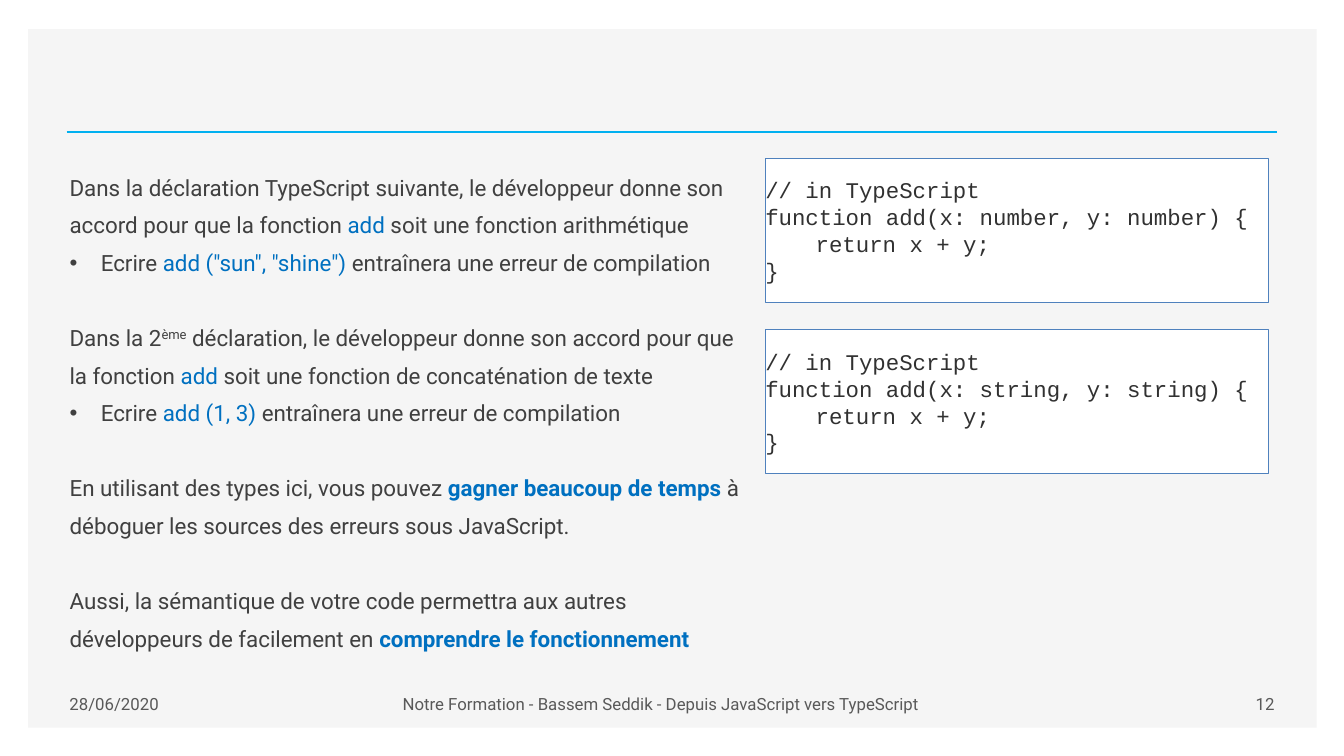
import pptx
import pptx.util
import pptx.dml.color
import pptx.enum.shapes
import pptx.enum.text
import pptx.oxml
import pptx.oxml.ns
import lxml.etree

Inches = pptx.util.Inches
RGBColor = pptx.dml.color.RGBColor
Align = pptx.enum.text.PP_ALIGN
Anchor = pptx.enum.text.MSO_ANCHOR
RECT = pptx.enum.shapes.MSO_SHAPE.RECTANGLE

WHITE = RGBColor(0xFF, 0xFF, 0xFF)
PANEL = RGBColor(0xF5, 0xF5, 0xF5)
CYAN = RGBColor(0x00, 0xB0, 0xF0)
BLUE = RGBColor(0x00, 0x70, 0xC0)
EDGE = RGBColor(0x4F, 0x81, 0xBD)
DARK = RGBColor(0x40, 0x40, 0x40)
GREY = RGBColor(0x59, 0x59, 0x59)
INK = RGBColor(0x31, 0x31, 0x31)


def add_run(para, text, color, **form):
    run = para.add_run()
    run.text = text
    run.font.color.rgb = color
    for key, value in form.items():
        setattr(run.font, key, value)
    return run


def add_box(place, fill):
    box = slide.shapes.add_shape(RECT, *map(Inches, place))
    box.shadow.inherit = False
    box.fill.solid()
    box.fill.fore_color.rgb = fill
    box.line.fill.background()
    return box


deck = pptx.Presentation()
deck.slide_width = Inches(13.33)
deck.slide_height = Inches(7.5)
slide = deck.slides.add_slide(deck.slide_layouts[1])
title, body = slide.placeholders
slide.shapes.element.remove(title.element)

# Panel and rule
add_box((0.28, 0.29, 12.78, 6.93), PANEL)
rule = slide.shapes.add_connector(
    pptx.enum.shapes.MSO_CONNECTOR.STRAIGHT,
    Inches(0.66), Inches(1.31), Inches(12.67), Inches(1.31))
rule.line.color.rgb = CYAN
rule.line.width = pptx.util.Pt(2)
lxml.etree.SubElement(rule.element.spPr, pptx.oxml.ns.qn("a:effectLst"))

# Body: each paragraph has a kind and its runs of (text, style)
styles = {
    "plain": {"color": DARK},
    "code": {"color": BLUE},
    "strong": {"color": BLUE, "bold": True},
    "super": {"color": DARK},
}
content = [
    ("first", [("Dans la déclaration TypeScript suivante, le développeur donne "
                "son accord pour que la fonction ", "plain"),
               ("add", "code"),
               (" soit une fonction arithmétique", "plain")]),
    ("bullet", [("Ecrire ", "plain"),
                ('add ("sun", "shine") ', "code"),
                ("entraînera une erreur de compilation", "plain")]),
    ("block", [("Dans la 2", "plain"),
               ("ème", "super"),
               (" déclaration, le développeur donne son accord pour que "
                "la fonction ", "plain"),
               ("add ", "code"),
               ("soit une fonction de concaténation de texte", "plain")]),
    ("bullet", [("Ecrire ", "plain"),
                ("add (1, 3) ", "code"),
                ("entraînera une erreur de compilation", "plain")]),
    ("block", [("En utilisant des types ici, vous pouvez ", "plain"),
               ("gagner beaucoup de temps ", "strong"),
               ("à déboguer les sources des erreurs sous JavaScript.", "plain")]),
    ("block", [("Aussi, la sémantique de votre code permettra aux autres "
                "développeurs de facilement en ", "plain"),
               ("comprendre le fonctionnement", "strong")]),
]
slide.shapes.element.append(body.element)  # bring the text above the panel
body.left, body.top, body.width, body.height = map(Inches, (0.59, 1.57, 7, 4.95))
frame = body.text_frame
frame.auto_size = pptx.enum.text.MSO_AUTO_SIZE.NONE
for i, (kind, runs) in enumerate(content):
    para = frame.add_paragraph() if i else frame.paragraphs[0]
    para.line_spacing = 1.4
    para.space_before = pptx.util.Pt(26.8 if kind == "block" else 0)
    para.space_after = pptx.util.Pt(0)
    props = para._p.get_or_add_pPr()
    indent = Inches(0.31) if kind == "bullet" else 0
    props.set("marL", str(indent))
    props.set("indent", str(-indent))
    mark = 'buChar char="•"' if kind == "bullet" else "buNone"
    props.append(pptx.oxml.parse_xml(
        f"<a:{mark} {pptx.oxml.ns.nsdecls('a')}/>"))
    for text, style in runs:
        run = add_run(para, text, name="Roboto", size=pptx.util.Pt(16),
                      **styles[style])
        if style == "super":
            run._r.get_or_add_rPr().set("baseline", "30000")

# Footer
footer = [
    (0.59, 1.68, "28/06/2020", Align.LEFT),
    (2.27, 8.57, "Notre Formation - Bassem Seddik - Depuis JavaScript vers TypeScript",
     Align.CENTER),
    (10.84, 1.9, "12", Align.RIGHT),
]
for left, width, text, align in footer:
    box = slide.shapes.add_textbox(
        Inches(left), Inches(6.78), Inches(width), Inches(0.4))
    frame = box.text_frame
    frame.word_wrap = True
    frame.vertical_anchor = Anchor.MIDDLE
    frame.paragraphs[0].alignment = align
    add_run(frame.paragraphs[0], text, GREY, name="Roboto", size=pptx.util.Pt(12))

# Code boxes
for i, kind in enumerate(("number", "string")):
    box = add_box((7.59, 1.57 + 1.7 * i, 4.99, 1.43), WHITE)
    box.line.color.rgb = EDGE
    box.line.width = pptx.util.Pt(1)
    frame = box.text_frame
    layout = {
        "margin_left": 0, "margin_right": 0,
        "margin_top": Inches(0.17), "margin_bottom": Inches(0.17),
        "word_wrap": True, "vertical_anchor": Anchor.MIDDLE,
    }
    for key, value in layout.items():
        setattr(frame, key, value)
    lines = ("// in TypeScript", f"function add(x: {kind}, y: {kind}) {{",
             "\treturn x + y;", "}")
    for row, text in enumerate(lines):
        para = frame.add_paragraph() if row else frame.paragraphs[0]
        para.alignment = Align.LEFT
        add_run(para, text, INK, name="Courier New", size=pptx.util.Pt(16))

deck.save("out.pptx")
